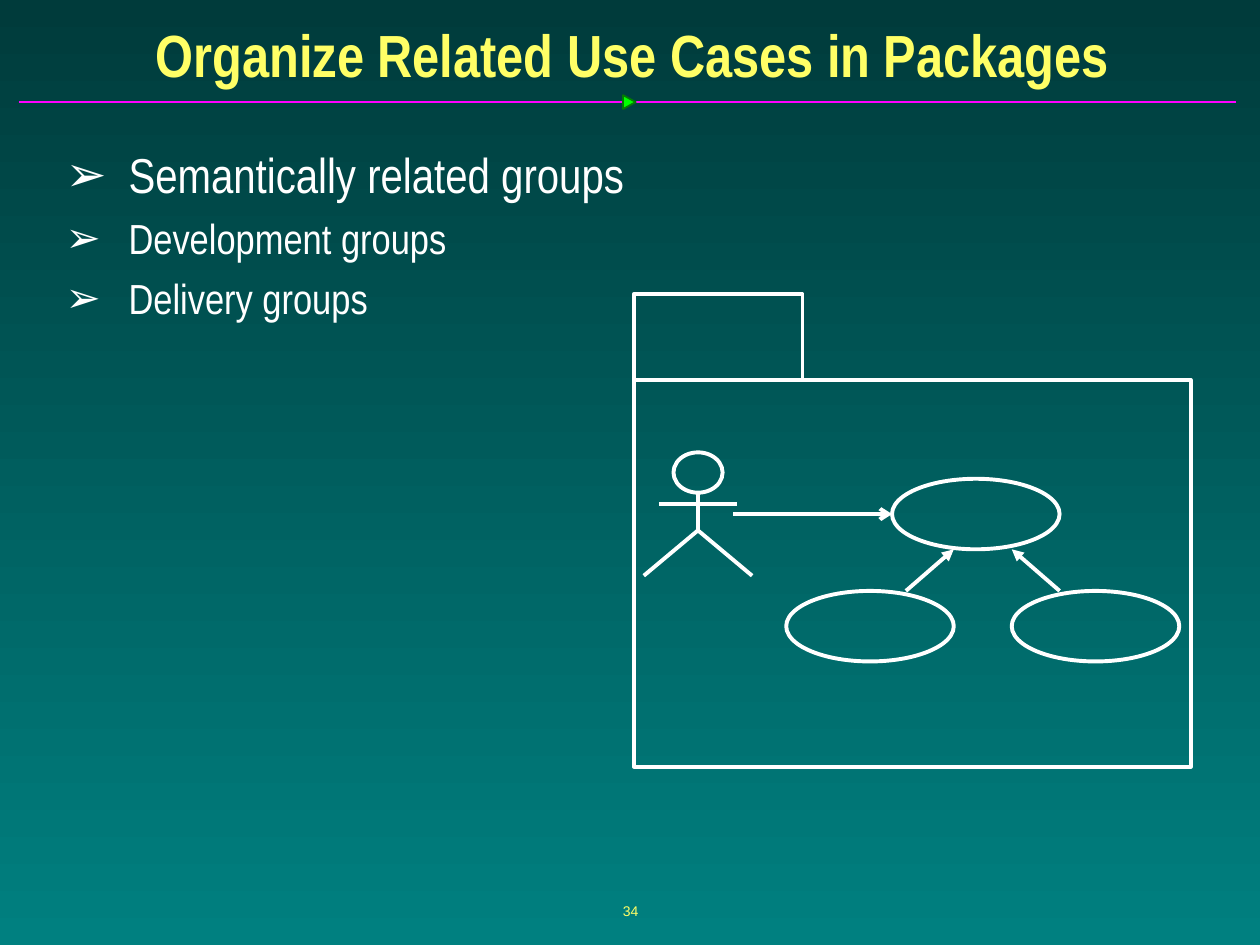
from lxml.etree import SubElement
from pptx import Presentation
from pptx.dml.color import RGBColor
from pptx.enum.shapes import MSO_CONNECTOR, MSO_SHAPE
from pptx.enum.text import MSO_ANCHOR, MSO_AUTO_SIZE, PP_ALIGN
from pptx.oxml.ns import qn
from pptx.util import Inches, Pt

YELLOW = RGBColor(0xFF, 0xFF, 0x66)
WHITE = RGBColor(0xFF, 0xFF, 0xFF)
MAGENTA = RGBColor(0xFF, 0x01, 0xFF)
GREEN = RGBColor(0x00, 0xFF, 0x00)
DARK_GREEN = RGBColor(0x03, 0x7C, 0x03)
DARK_TEAL = RGBColor(0x00, 0x3B, 0x3B)
TEAL = RGBColor(0x00, 0x80, 0x80)

COLUMNS, ROWS = 100, 75
SLIDE_WIDTH, SLIDE_HEIGHT = Inches(10), Inches(7.5)
OVAL_WIDTH, OVAL_HEIGHT = 13.3, 5.6


def grid(column, row):
    return round(column * SLIDE_WIDTH / COLUMNS), round(row * SLIDE_HEIGHT / ROWS)


def place(box, column, row, width, height):
    box.left, box.top = grid(column, row)
    box.width, box.height = grid(width, height)


def set_background(page):
    fill = page.background.fill
    fill.gradient()
    fill.gradient_angle = 270
    for stop, color, position in zip(fill.gradient_stops, (DARK_TEAL, TEAL), (0, 1)):
        stop.color.rgb = color
        stop.position = position


def set_insets(frame, side, end):
    frame.margin_left = frame.margin_right = Inches(side)
    frame.margin_top = frame.margin_bottom = Inches(end)


def write_text(para, text, size, color=WHITE, font="Arial Narrow", bold=False,
               align=PP_ALIGN.LEFT, before=0, spacing=1.0):
    para.alignment = align
    para.space_before = Pt(before)
    para.line_spacing = spacing
    span = para.add_run()
    span.text = text
    span.font.name = font
    span.font.size = Pt(size)
    span.font.bold = bold
    span.font.color.rgb = color


def add_bullet(para):
    properties = para._p.get_or_add_pPr()
    properties.set("marL", str(Inches(0.5)))
    properties.set("indent", str(-Inches(0.5)))
    color = SubElement(properties, qn("a:buClr"))
    SubElement(color, qn("a:srgbClr"), val=str(WHITE))
    SubElement(properties, qn("a:buChar"), char="➢")


def fill_title(title, text):
    place(title, 1, 1.4, 98.4, 5.8)
    frame = title.text_frame
    frame.auto_size = MSO_AUTO_SIZE.NONE
    frame.vertical_anchor = MSO_ANCHOR.MIDDLE
    set_insets(frame, 0.1, 0.05)
    write_text(frame.paragraphs[0], text, 34, color=YELLOW, bold=True,
               align=PP_ALIGN.CENTER)


def fill_list(body, items):
    place(body, 4, 11.5, 92.9, 55.2)
    frame = body.text_frame
    frame.auto_size = MSO_AUTO_SIZE.NONE
    frame.vertical_anchor = MSO_ANCHOR.TOP
    set_insets(frame, 0.12, 0.06)
    for index, (text, size) in enumerate(items):
        para = frame.add_paragraph() if index else frame.paragraphs[0]
        add_bullet(para)
        write_text(para, text, size, before=9 if index else 0, spacing=0.87)


def add_page_number(page, text):
    box = page.shapes.add_textbox(*grid(34.2, 69.8), *grid(31.7, 5))
    frame = box.text_frame
    frame.word_wrap = False
    frame.vertical_anchor = MSO_ANCHOR.MIDDLE
    write_text(frame.paragraphs[0], text, 8, color=YELLOW, font="Arial",
               align=PP_ALIGN.CENTER)


def style_outline(shape, color=WHITE, weight=2.25):
    shape.shadow.inherit = False
    shape.fill.background()
    shape.line.color.rgb = color
    shape.line.width = Pt(weight)


def add_outline(page, kind, column, row, width, height):
    shape = page.shapes.add_shape(kind, *grid(column, row), *grid(width, height))
    style_outline(shape)
    return shape


def add_line(page, start, end, color=WHITE, weight=2.25, arrowhead=None):
    line = page.shapes.add_connector(MSO_CONNECTOR.STRAIGHT, *grid(*start), *grid(*end))
    line.line.color.rgb = color
    line.line.width = Pt(weight)
    if arrowhead:
        SubElement(line.line._get_or_add_ln(), qn("a:tailEnd"), type=arrowhead)
    SubElement(line._element.spPr, qn("a:effectLst"))


def add_title_rule(page):
    add_line(page, (1.5, 8.1), (98.1, 8.1), color=MAGENTA, weight=1)
    marker = add_outline(page, MSO_SHAPE.ISOSCELES_TRIANGLE, 49.4, 7.6, 1.1, 1)
    style_outline(marker, DARK_GREEN, 1)
    marker.fill.solid()
    marker.fill.fore_color.rgb = GREEN
    marker.rotation = 90


def add_package(page):
    add_outline(page, MSO_SHAPE.RECTANGLE, 50.3, 30.15, 44.2, 30.7)
    add_outline(page, MSO_SHAPE.RECTANGLE, 50.3, 23.35, 13.4, 6.8)


def add_actor(page, center):
    add_outline(page, MSO_SHAPE.OVAL, center - 1.95, 35.9, 3.9, 3.2)
    add_line(page, (center, 39.1), (center, 42.1))
    add_line(page, (center - 3.1, 40), (center + 3.1, 40))
    builder = page.shapes.build_freeform(*grid(center - 4.3, 45.7))
    builder.add_line_segments([grid(center, 42.1), grid(center + 4.3, 45.7)], close=False)
    style_outline(builder.convert_to_shape())


def add_use_cases(page):
    for column, row in ((70.8, 38), (62.4, 46.9), (80.3, 46.9)):
        add_outline(page, MSO_SHAPE.OVAL, column, row, OVAL_WIDTH, OVAL_HEIGHT)
    add_line(page, (58.2, 40.8), (70.8, 40.8), arrowhead="arrow")
    add_line(page, (71.9, 46.9), (75.7, 43.6), arrowhead="triangle")
    add_line(page, (84.1, 46.9), (80.3, 43.6), arrowhead="triangle")


def main():
    deck = Presentation()
    deck.slide_width, deck.slide_height = SLIDE_WIDTH, SLIDE_HEIGHT
    page = deck.slides.add_slide(deck.slide_layouts[1])
    set_background(page)
    fill_title(page.shapes.title, "Organize Related Use Cases in Packages")
    fill_list(page.placeholders[1], (
        ("Semantically related groups", 28),
        ("Development groups", 24),
        ("Delivery groups", 24),
    ))
    add_title_rule(page)
    add_page_number(page, "34")
    add_package(page)
    add_actor(page, 55.4)
    add_use_cases(page)
    deck.save("out.pptx")


if __name__ == "__main__":
    main()
